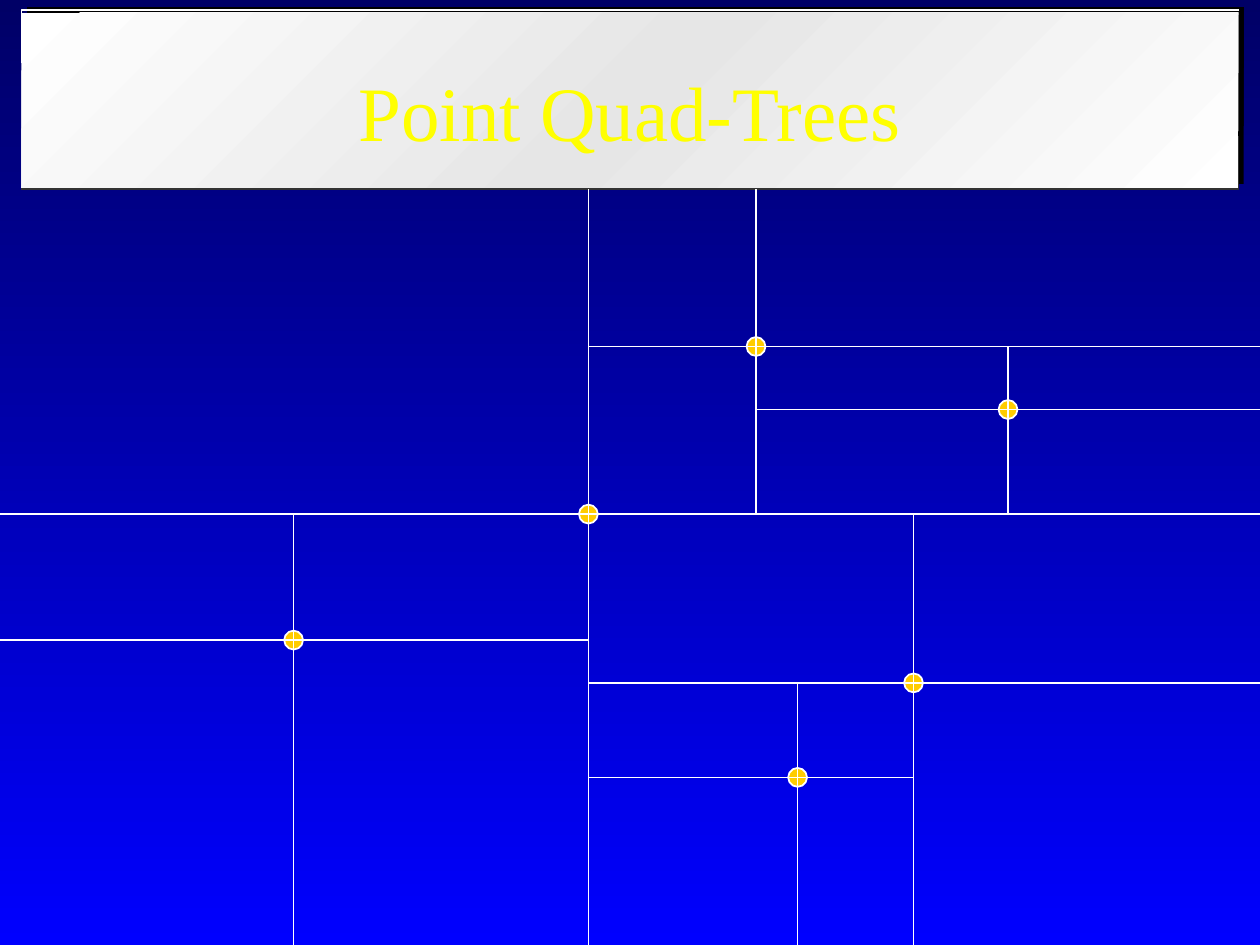
from copy import deepcopy

from lxml import etree
from pptx import Presentation
from pptx.dml.color import RGBColor
from pptx.enum.shapes import MSO_CONNECTOR, MSO_SHAPE
from pptx.enum.text import MSO_ANCHOR, MSO_AUTO_SIZE, PP_ALIGN
from pptx.oxml.ns import qn
from pptx.util import Inches, Pt

LINE = MSO_CONNECTOR.STRAIGHT
RECT, OVAL = MSO_SHAPE.RECTANGLE, MSO_SHAPE.OVAL
MIDDLE, CENTER = MSO_ANCHOR.MIDDLE, PP_ALIGN.CENTER
FIXED = MSO_AUTO_SIZE.NONE

FONT = "Times New Roman"
COLORS = {
    "night": "000066", "blue": "0000FF", "white": "FFFFFF", "gray": "E6E6E6",
    "dark": "333333", "black": "000000", "title": "FFFF00", "dot": "FFCC00",
}
DOT = 0.15
WIDTH, HEIGHT = 10, 7.5
ROOT = (4.67, 4.08)
EAST = (6, 2.75)
SOUTH = (7.25, 5.42)
CELLS = [
    (ROOT, (0, 1.5, WIDTH, HEIGHT)),
    (SOUTH, (*ROOT, WIDTH, HEIGHT)),
    ((2.33, 5.08), (0, ROOT[1], ROOT[0], HEIGHT)),
    ((6.33, 6.17), (ROOT[0], SOUTH[1], SOUTH[0], HEIGHT)),
    (EAST, (ROOT[0], 1.5, WIDTH, ROOT[1])),
    ((8, 3.25), (*EAST, WIDTH, ROOT[1])),
]


def color(name):
    """Return the named colour."""
    return RGBColor.from_string(COLORS[name])


def stroke(shape, name):
    """Give a shape a thin line of the named colour."""
    shape.line.color.rgb = color(name)
    shape.line.width = Pt(1)


def shade(fill, names, angle):
    """Colour the evenly spaced stops of a gradient."""
    fill.gradient_angle = angle
    for i, name in enumerate(names):
        stop = fill.gradient_stops[i]
        stop.color.rgb = color(name)
        stop.position = i / (len(names) - 1)


def cast(shape):
    """Add a hard shadow to the upper right."""
    shape.shadow.inherit = False
    effects = shape._element.spPr.find(qn("a:effectLst"))
    outer = etree.SubElement(effects, qn("a:outerShdw"), blurRad="0",
                             dist=str(Pt(4.2)), dir="18900000",
                             algn="ctr", rotWithShape="0")
    etree.SubElement(outer, qn("a:srgbClr"), val=COLORS["black"])


def edge(shapes, points, name):
    """Draw an open bevel edge through the points."""
    start, *rest = [(Inches(x), Inches(y)) for x, y in points]
    pen = shapes.build_freeform(*start)
    pen.add_line_segments(rest, close=False)
    shape = pen.convert_to_shape()
    shape.shadow.inherit = False
    shape.fill.background()
    stroke(shape, name)


def banner(slide, left, top, width, height):
    """Draw the bevelled panel and the title on it."""
    shapes = slide.shapes.add_group_shape().shapes
    panel = shapes.add_shape(RECT, Inches(left), Inches(top),
                             Inches(width), Inches(height))
    panel.line.fill.background()
    panel.fill.gradient()
    stops = panel._element.spPr.find(".//" + qn("a:gsLst"))
    stops.append(deepcopy(stops[0]))
    shade(panel.fill, ["white", "gray", "white"], 135)
    cast(panel)
    right, base, rim = left + width, top + height, top - 0.02
    edge(shapes, [(left, rim + 0.42), (left, rim), (right, rim)], "white")
    edge(shapes, [(right, base - 0.42), (right, base), (left, base)], "dark")

    title = slide.shapes.title
    slide.shapes._spTree.append(title._element)
    title.left, title.top = Inches(left + 0.58), Inches(top + 0.15)
    title.width, title.height = Inches(width - 1.16), Inches(height - 0.15)
    frame = title.text_frame
    frame.word_wrap, frame.auto_size = True, FIXED
    frame.vertical_anchor = MIDDLE
    para = frame.paragraphs[0]
    para.alignment = CENTER
    run = para.add_run()
    run.text = "Point Quad-Trees"
    run.font.name, run.font.size = FONT, Pt(44)
    run.font.color.rgb = color("title")


def split(slide, point, box):
    """Mark a point and split its box into four quadrants."""
    x, y = point
    left, top, right, base = box
    shapes = slide.shapes.add_group_shape().shapes
    dot = shapes.add_shape(OVAL, Inches(x - DOT / 2), Inches(y - DOT / 2),
                           Inches(DOT), Inches(DOT))
    dot.shadow.inherit = False
    dot.fill.solid()
    dot.fill.fore_color.rgb = color("dot")
    stroke(dot, "white")
    for ends in [(left, y, right, y), (x, top, x, base)]:
        line = shapes.add_connector(LINE, *map(Inches, ends))
        stroke(line, "white")
        etree.SubElement(line._element.spPr, qn("a:effectLst"))


def main():
    """Build and save the slide."""
    deck = Presentation()
    deck.slide_width, deck.slide_height = Inches(WIDTH), Inches(HEIGHT)
    slide = deck.slides.add_slide(deck.slide_layouts[5])
    back = slide.background.fill
    back.gradient()
    shade(back, ["night", "blue"], 270)
    banner(slide, 0.17, 0.1, 9.66, 1.4)
    for point, box in CELLS:
        split(slide, point, box)
    deck.save("out.pptx")


if __name__ == "__main__":
    main()
